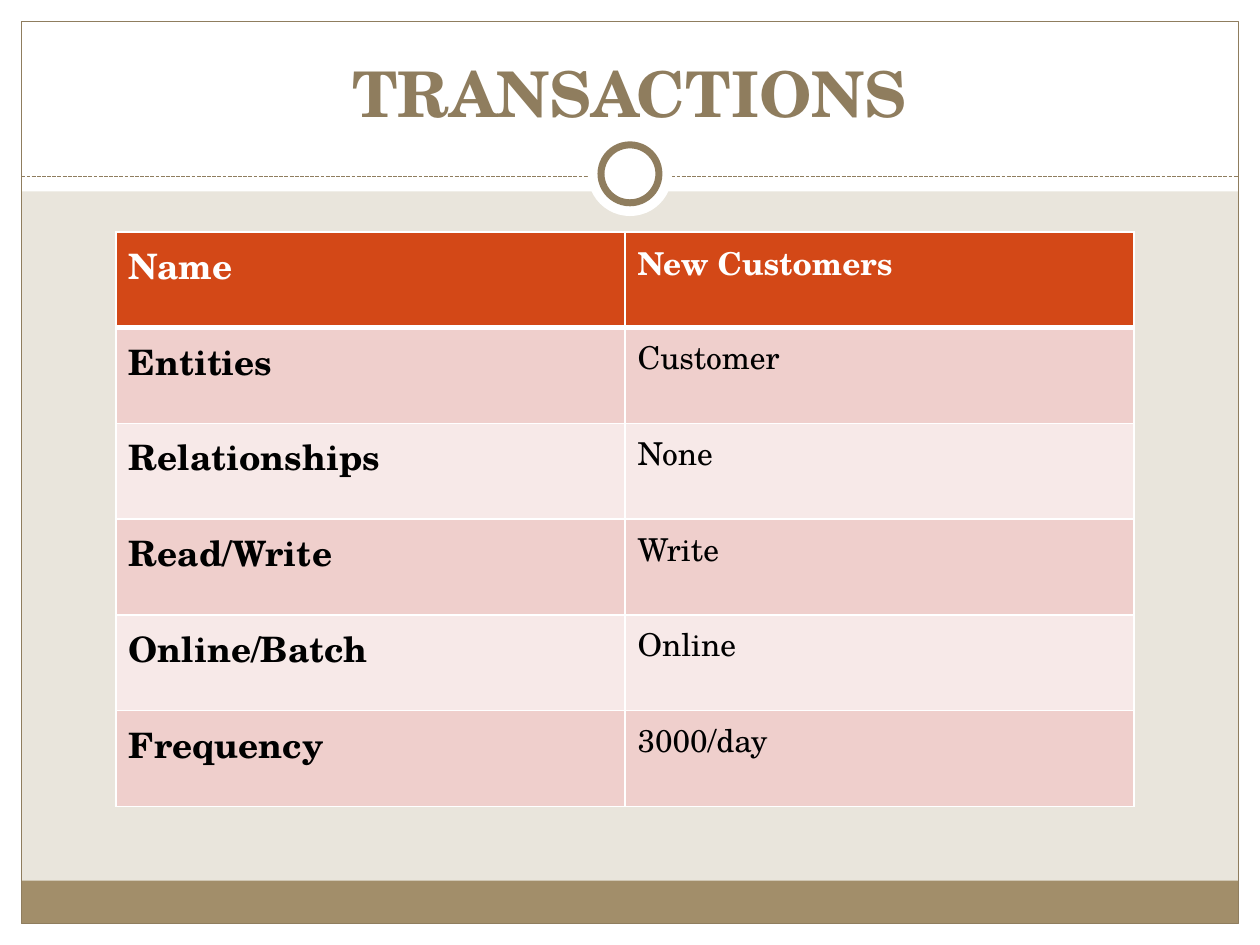
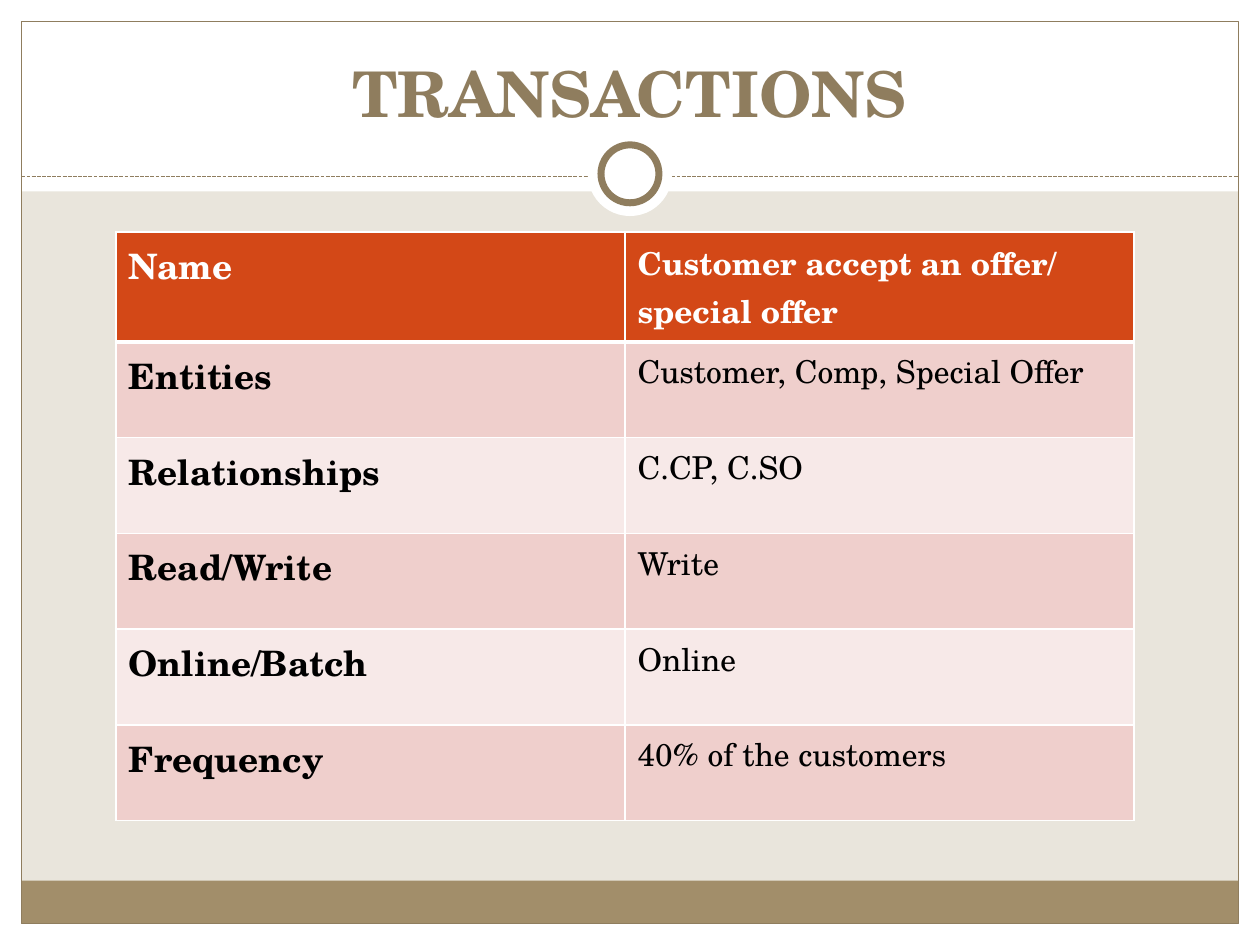
from lxml.etree import SubElement
from pptx import Presentation
from pptx.dml.color import RGBColor
from pptx.enum.dml import MSO_LINE
from pptx.enum.shapes import MSO_CONNECTOR, MSO_SHAPE
from pptx.enum.text import MSO_ANCHOR, PP_ALIGN
from pptx.oxml.ns import qn
from pptx.util import Inches, Pt

FONT = "TeX Gyre Schola"
SAND = RGBColor(0xE9, 0xE5, 0xDC)
TAN = RGBColor(0xA2, 0x8E, 0x6A)
BROWN = RGBColor(0x8F, 0x7D, 0x5E)
ORANGE = RGBColor(0xD3, 0x48, 0x17)
PINK = RGBColor(0xEF, 0xCF, 0xCC)
PALE_PINK = RGBColor(0xF7, 0xE9, 0xE8)
WHITE = RGBColor(0xFF, 0xFF, 0xFF)
BLACK = RGBColor(0, 0, 0)

W, H = 10, 7.5
EDGE = 0.17          # white margin round the frame
HEADER_H = 1.52
RULE_Y = 1.4
FOOTER_H = 0.34
TABLE_X, TABLE_Y = 0.92, 1.84
COL_W, ROW_H = 4.04, 0.76

LABELS = ["Name", "Entities", "Relationships", "Read/Write", "Online/Batch", "Frequency"]
TRANSACTIONS = [
    ["New Customers", "Customer", "None", "Write", "Online", "3000/day"],
    ["Customer accept an offer/ special offer", "Customer, Comp, Special Offer",
     "C.CP, C.SO", "Write", "Online", "40% of the customers"],
]


def add_panel(slide, kind, box, fill=None, line_width=None):
    sp = slide.shapes.add_shape(kind, *[Inches(v) for v in box])
    sp.shadow.inherit = False
    if fill is None:
        sp.fill.background()
    else:
        sp.fill.solid()
        sp.fill.fore_color.rgb = fill
    if line_width is None:
        sp.line.fill.background()
    else:
        sp.line.color.rgb = BROWN
        sp.line.width = Pt(line_width)
    return sp


def add_border(cell, side, width):
    ln = SubElement(cell._tc.get_or_add_tcPr(), qn(f"a:ln{side}"), w=str(Pt(width)))
    SubElement(SubElement(ln, qn("a:solidFill")), qn("a:srgbClr"), val=str(WHITE))


prs = Presentation()
prs.slide_width, prs.slide_height = Inches(W), Inches(H)
layout = prs.slide_layouts[5]
slides = [prs.slides.add_slide(layout) for _ in TRANSACTIONS]

# Shared background
layout.background.fill.solid()
layout.background.fill.fore_color.rgb = SAND

# Shared bands, frame, dashed rule and ring, drawn once and moved to the layout
first = slides[0]
inner_w = W - 2 * EDGE
decor = [add_panel(first, MSO_SHAPE.RECTANGLE, box, fill) for box, fill in [
    ((0, H - EDGE, W, EDGE), WHITE),
    ((0, 0, W, HEADER_H), WHITE),
    ((0, 0, EDGE, H), WHITE),
    ((W - EDGE, 0, EDGE, H), WHITE),
    ((EDGE, H - EDGE - FOOTER_H, inner_w, FOOTER_H), TAN),
]]
decor.append(add_panel(first, MSO_SHAPE.RECTANGLE,
                       (EDGE, EDGE, inner_w, H - 2 * EDGE), line_width=0.75))

rule = first.shapes.add_connector(MSO_CONNECTOR.STRAIGHT, Inches(EDGE), Inches(RULE_Y),
                                  Inches(W - EDGE), Inches(RULE_Y))
rule.line.color.rgb = BROWN
rule.line.width = Pt(0.75)
rule.line.dash_style = MSO_LINE.SQUARE_DOT
SubElement(rule.element.spPr, qn("a:effectLst"))
decor.append(rule)

for size, line_width in [(0.67, None), (0.46, 4)]:
    box = ((W - size) / 2, 1.38 - size / 2, size, size)
    decor.append(add_panel(first, MSO_SHAPE.OVAL, box, WHITE, line_width))

for number, sp in enumerate(decor, 100):
    sp.element.xpath(".//p:cNvPr")[0].set("id", str(number))
    layout.shapes.element.append(sp.element)

for slide, values in zip(slides, TRANSACTIONS):
    # Title
    title = slide.shapes.title
    title.left, title.top = Inches(0.33), Inches(0.25)
    title.width, title.height = Inches(9.33), Inches(0.83)
    tf = title.text_frame
    tf.text = "TRANSACTIONS"
    tf.vertical_anchor = MSO_ANCHOR.BOTTOM
    p = tf.paragraphs[0]
    p.alignment = PP_ALIGN.CENTER
    p.font.name, p.font.size, p.font.bold = FONT, Pt(36), True
    p.font.color.rgb = BROWN

    # Transaction table
    table = slide.shapes.add_table(len(LABELS), 2, Inches(TABLE_X), Inches(TABLE_Y),
                                   Inches(2 * COL_W), Inches(len(LABELS) * ROW_H)).table
    for column in table.columns:
        column.width = Inches(COL_W)
    for r, texts in enumerate(zip(LABELS, values)):
        table.rows[r].height = Inches(ROW_H)
        for c, text in enumerate(texts):
            cell = table.cell(r, c)
            for side in "LRTB":
                add_border(cell, side, 3 if r == 0 and side == "B" else 1)
            cell.fill.solid()
            cell.fill.fore_color.rgb = ORANGE if r == 0 else PINK if r % 2 else PALE_PINK
            cell.text = text
            p = cell.text_frame.paragraphs[0]
            p.font.name = FONT
            p.font.size = Pt(18 if c else 20)
            p.font.bold = r == 0 or c == 0
            p.font.color.rgb = BLACK if r else WHITE

prs.save("out.pptx")
